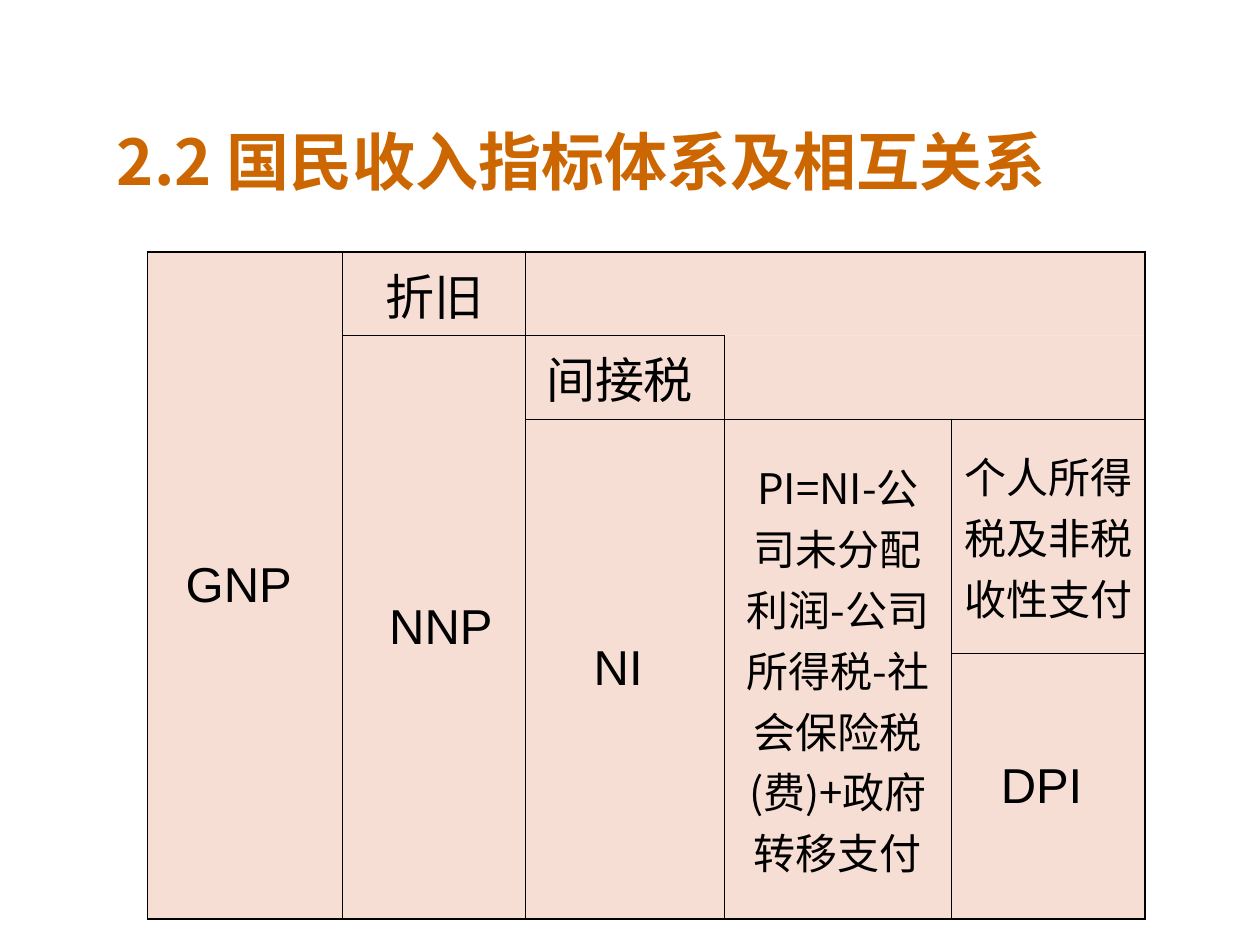
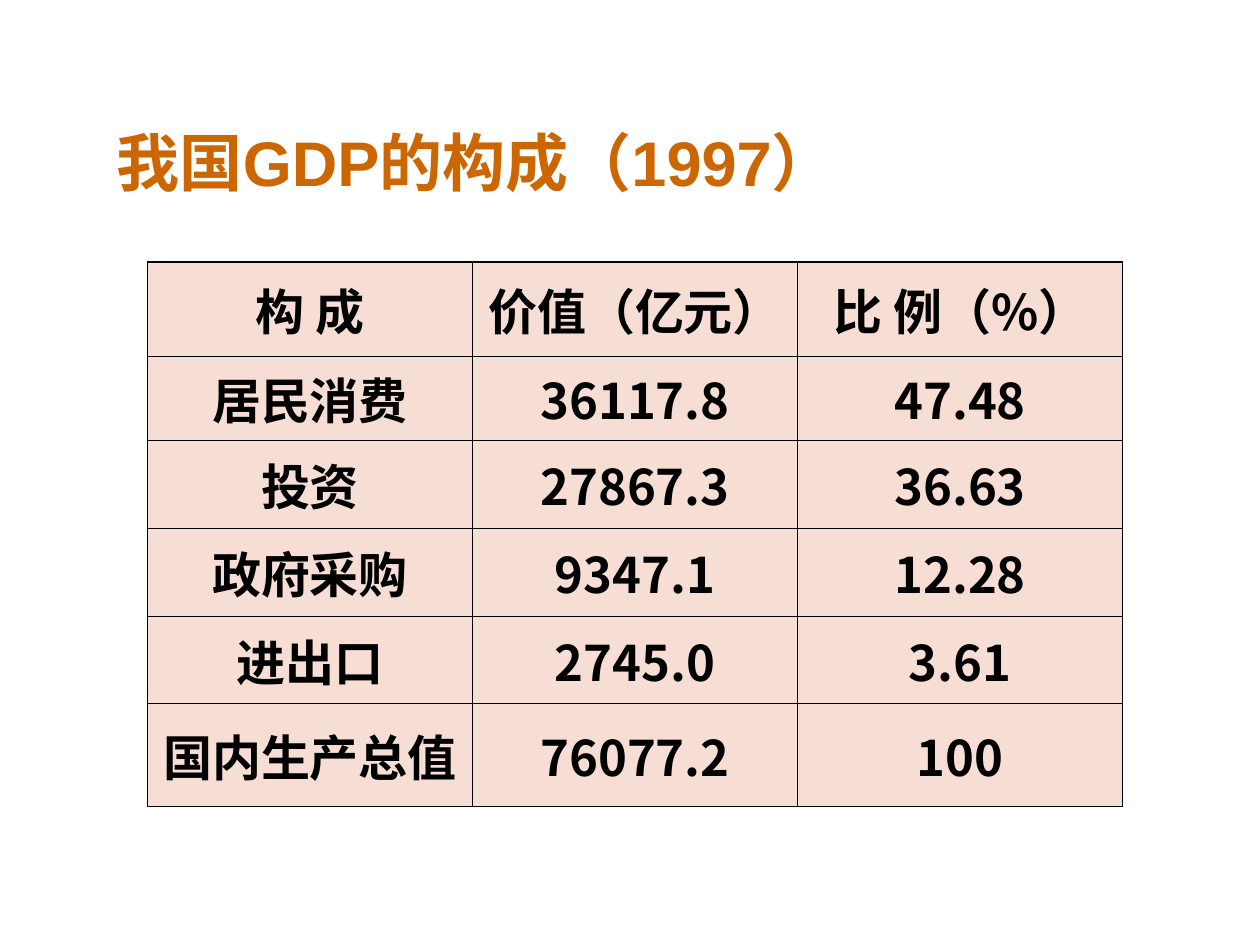
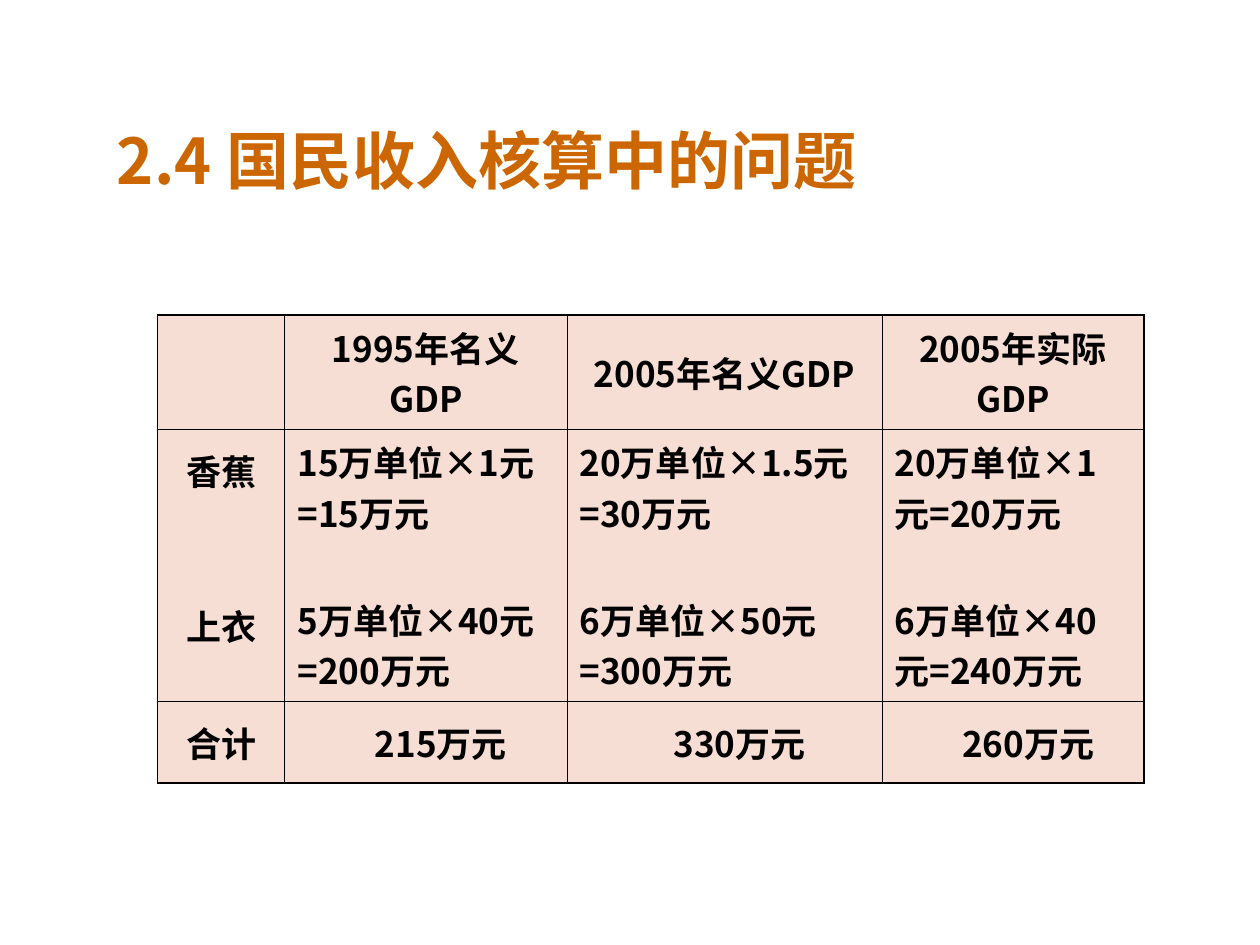
import lxml.etree
import pptx
import pptx.dml.color
import pptx.enum.text
import pptx.oxml.ns
import pptx.util

Inches, Pt, qn = pptx.util.Inches, pptx.util.Pt, pptx.oxml.ns.qn
PP_ALIGN, ANCHOR = pptx.enum.text.PP_ALIGN, pptx.enum.text.MSO_ANCHOR

# Shared look
ORANGE, BLACK, PINK = "CC6600", "000000", "F1BFAD"
CJK, LATIN = "Noto Sans CJK SC", "Arial"
OUTER, INNER = 1.08, 0.45


def rgb(value):
    return pptx.dml.color.RGBColor.from_string(value)


def style(tf, font, size, color, bold, align):
    for p in tf.paragraphs:
        p.alignment = align
        for r in p.runs:
            r.font.name, r.font.size, r.font.bold = font, Pt(size), bold
            r.font.color.rgb = rgb(color)
            ea = lxml.etree.SubElement(r.font._element, qn("a:ea"))
            ea.set("typeface", CJK)


# Slide content: merges are (first row, first column, last row, last column)
slides = [
    dict(title="2.2 国民收入指标体系及相互关系", title_font=CJK,
         title_box=(0.83, 0.92, 8.58, 0.7), corner=(1.17, 2),
         cols=[1.55, 1.45, 1.58, 1.8, 1.54], rows=[0.57, 0.57, 1.86, 1.57],
         font=LATIN, size=28, bold=False,
         merges=[(0, 0, 3, 0), (0, 2, 0, 4), (1, 1, 3, 1),
                 (1, 3, 1, 4), (2, 2, 3, 2), (2, 3, 3, 3)],
         cells=[["GNP ", "折旧", "", "", ""],
                ["", " NNP", "间接税 ", "", ""],
                ["", "", "NI ",
                 "PI=NI-公司未分配利润-公司所得税-社会保险税(费)+政府转移支付",
                 "个人所得税及非税收性支付 "],
                ["", "", "", "", "DPI "]]),
    dict(title="我国GDP的构成（1997）", title_font=LATIN,
         title_box=(0.83, 0.92, 8.25, 0.72), corner=(1.17, 2.08),
         cols=[2.58] * 3, rows=[0.75, 0.66, 0.7, 0.7, 0.69, 0.82],
         font=CJK, size=28, bold=True, merges=[],
         cells=[["构 成", "价值（亿元）", "比 例（%）"],
                ["居民消费", "36117.8", "47.48"],
                ["投资", "27867.3", "36.63"],
                ["政府采购", "9347.1", "12.28"],
                ["进出口", "2745.0", "3.61"],
                ["国内生产总值", "76077.2", "100"]]),
    dict(title="2.4 国民收入核算中的问题", title_font=CJK,
         title_box=(0.83, 0.83, 7.83, 0.87), corner=(1.25, 2.5),
         cols=[1.01, 2.24, 2.5, 2.08], rows=[0.77, 2.16, 0.65],
         font=CJK, size=20, bold=True, merges=[],
         cells=[["", "1995年名义GDP", "2005年名义GDP", "2005年实际GDP"],
                ["香蕉\n上衣",
                 "15万单位×1元=15万元\n5万单位×40元=200万元",
                 "20万单位×1.5元=30万元\n6万单位×50元=300万元",
                 "20万单位×1元=20万元\n6万单位×40元=240万元"],
                ["合计", "215万元", "330万元", "260万元"]]),
]

prs = pptx.Presentation()
prs.slide_width, prs.slide_height = Inches(10), Inches(7.5)
tables = []

for d in slides:
    s = prs.slides.add_slide(prs.slide_layouts[6])

    # Title
    tf = s.shapes.add_textbox(*map(Inches, d["title_box"])).text_frame
    tf.word_wrap = True
    tf.auto_size = pptx.enum.text.MSO_AUTO_SIZE.NONE
    tf.vertical_anchor = ANCHOR.MIDDLE
    tf.text = d["title"]
    style(tf, d["title_font"], 36, ORANGE, True, PP_ALIGN.LEFT)

    # Table grid
    cols, rows = d["cols"], d["rows"]
    nr, nc = len(rows), len(cols)
    box = (*d["corner"], sum(cols), sum(rows))
    table = s.shapes.add_table(nr, nc, *map(Inches, box)).table
    table.first_row = table.horz_banding = False
    for col, width in zip(table.columns, cols):
        col.width = Inches(width)
    for row, height in zip(table.rows, rows):
        row.height = Inches(height)
    for r0, c0, r1, c1 in d["merges"]:
        table.cell(r0, c0).merge(table.cell(r1, c1))
    tables.append(table)

    # Which merged block each grid cell belongs to
    block = {(r, c): (r, c, r, c) for r in range(nr) for c in range(nc)}
    for m in d["merges"]:
        for r in range(m[0], m[2] + 1):
            for c in range(m[1], m[3] + 1):
                block[r, c] = m

    for (r, c), (r0, c0, r1, c1) in block.items():
        cell = table.cell(r, c)
        cell.vertical_anchor = ANCHOR.MIDDLE

        # Borders: heavy around the table, fine between blocks, none inside
        first = (r, c) == (r0, c0)
        edges = [("L", c == c0, c0 == 0), ("R", first or c == c1, c1 == nc - 1),
                 ("T", r == r0, r0 == 0), ("B", first or r == r1, r1 == nr - 1)]
        for side, drawn, outer in edges:
            # The two empty blocks run into each other
            if d is slides[0] and c > 2 and (r, side) in [(0, "B"), (1, "T")]:
                drawn = False
            ln = lxml.etree.SubElement(cell._tc.get_or_add_tcPr(), qn("a:ln" + side))
            ln.set("w", str(Pt(OUTER if outer else INNER)))
            if drawn:
                fill = lxml.etree.SubElement(ln, qn("a:solidFill"))
                lxml.etree.SubElement(fill, qn("a:srgbClr")).set("val", BLACK)
            else:
                lxml.etree.SubElement(ln, qn("a:noFill"))

        # Half-transparent fill
        cell.fill.solid()
        cell.fill.fore_color.rgb = rgb(PINK)
        clr = cell._tc.tcPr.find(qn("a:solidFill") + "/" + qn("a:srgbClr"))
        lxml.etree.SubElement(clr, qn("a:alpha")).set("val", "50000")

        # Text
        if d["cells"][r][c]:
            cell.text_frame.text = d["cells"][r][c]
            style(cell.text_frame, d["font"], d["size"], BLACK, d["bold"],
                  PP_ALIGN.CENTER)

# Long texts of the income table are smaller
income, _, prices = tables
for c, font in [(3, CJK), (4, LATIN)]:
    style(income.cell(2, c).text_frame, font, 24, BLACK, False, PP_ALIGN.CENTER)

# Price table: goods spread down the row, totals moved to the right
goods = prices.cell(1, 0)
goods.vertical_anchor = ANCHOR.TOP
goods.margin_top = Inches(0.12)
goods.text_frame.paragraphs[1].space_before = Pt(60)
for c in range(1, 4):
    for p in prices.cell(1, c).text_frame.paragraphs:
        p.alignment = PP_ALIGN.LEFT
    p.space_before = Pt(32)
    prices.cell(2, c).margin_left = Inches(0.34)

prs.save("out.pptx")
